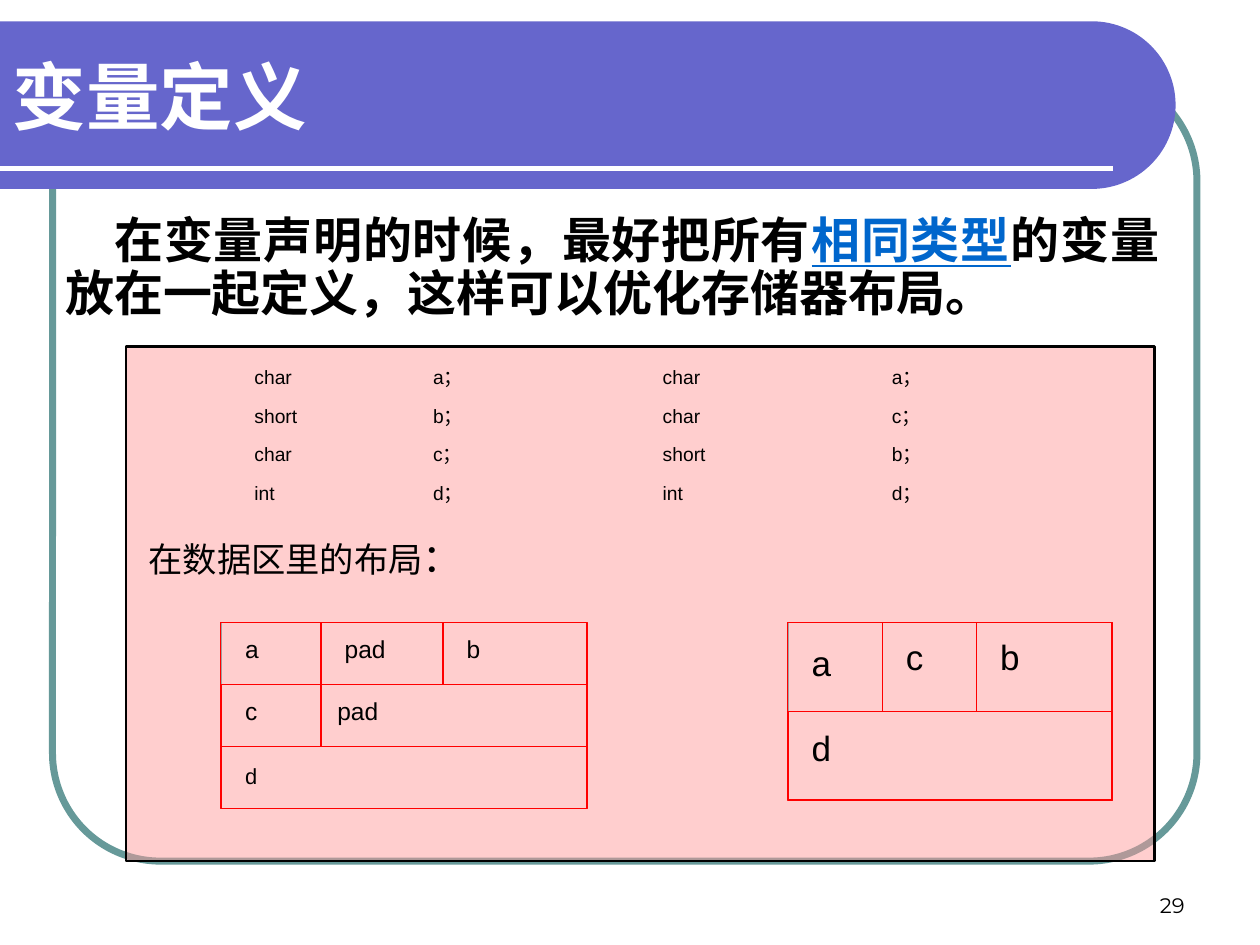
from math import cos, pi, sin

from lxml.etree import SubElement
from pptx import Presentation
from pptx.dml.color import RGBColor
from pptx.enum.shapes import MSO_CONNECTOR as Connector, MSO_SHAPE as Shape
from pptx.enum.text import MSO_ANCHOR as Anchor, MSO_AUTO_SIZE as AutoSize, PP_ALIGN as Align
from pptx.oxml.ns import qn
from pptx.util import Cm, Pt

SANS = "Noto Sans CJK SC"


def color(value):
    return RGBColor.from_string(value)


def add_run(para, text, size, font=SANS, fill="000000", bold=False):
    span = para.add_run()
    span.text = text
    span.font.size = Pt(size)
    span.font.bold = bold
    span.font.name = font
    span.font.color.rgb = color(fill)
    SubElement(span.font._element, qn("a:ea")).set("typeface", font)
    return span


deck = Presentation()
deck.slide_width, deck.slide_height = Cm(25.4), Cm(19.05)
page = deck.slides.add_slide(deck.slide_layouts[1])
shapes = page.shapes
title, body = page.placeholders

frame = shapes.add_shape(Shape.ROUNDED_RECTANGLE, Cm(1.06), Cm(1.48), Cm(23.07), Cm(15.88))
frame.adjustments[0] = 0.137
frame.fill.background()
frame.line.color.rgb = color("669999")
frame.line.width = Pt(4)
frame.shadow.inherit = False

radius, center_x, center_y = 1.69, 22.01, 2.12
steps = 60
angles = [pi * (step / steps - 0.5) for step in range(steps + 1)]
arc = [(Cm(center_x + radius * cos(angle)), Cm(center_y + radius * sin(angle))) for angle in angles]
builder = shapes.build_freeform(0, Cm(center_y - radius))
builder.add_line_segments(arc + [(0, Cm(center_y + radius))], close=True)
banner = builder.convert_to_shape()
banner.fill.solid()
banner.fill.fore_color.rgb = color("6666CC")
banner.line.fill.background()
banner.shadow.inherit = False

rule = shapes.add_connector(Connector.STRAIGHT, 0, Cm(3.39), Cm(22.44), Cm(3.39))
rule.line.color.rgb = color("FFFFFF")
rule.line.width = Pt(3)
SubElement(rule._element.spPr, qn("a:effectLst"))

for holder, left, top, width, height, anchor in [
    (title, 0, 0.85, 20.96, 2.12, Anchor.MIDDLE),
    (body, 1.06, 4.23, 22.56, 2.75, Anchor.TOP),
]:
    shapes._spTree.append(holder._element)
    holder.left, holder.top, holder.width, holder.height = Cm(left), Cm(top), Cm(width), Cm(height)
    holder.text_frame.auto_size = AutoSize.NONE
    holder.text_frame.vertical_anchor = anchor

para = title.text_frame.paragraphs[0]
para.alignment = Align.LEFT
add_run(para, "变量定义", 42, fill="FFFFFF", bold=True)

para = body.text_frame.paragraphs[0]
para.alignment = Align.JUSTIFY
para.line_spacing = 0.9
para.space_before = Pt(7)
properties = para._p.get_or_add_pPr()
properties.set("marL", "0")
properties.set("indent", str(Cm(0.99)))
SubElement(properties, qn("a:buNone"))
add_run(para, "在变量声明的时候，最好把所有", 28, bold=True)
add_run(para, "相同类型", 28, fill="0066CC", bold=True).font.underline = True
add_run(para, "的变量放在一起定义，这样可以优化存储器布局。", 28, bold=True)

panel = shapes.add_shape(Shape.RECTANGLE, Cm(2.54), Cm(6.99), Cm(20.74), Cm(10.37))
panel.fill.solid()
panel.fill.fore_color.rgb = color("FF9999")
panel_color = panel._element.spPr.find(qn("a:solidFill"))[0]
SubElement(panel_color, qn("a:alpha")).set("val", "48000")
panel.line.color.rgb = color("000000")
panel.line.width = Pt(1.5)
panel.shadow.inherit = False

caption = shapes.add_textbox(Cm(2.75), Cm(10.8), Cm(17.78), Cm(1.19))
caption.text_frame.word_wrap = True
para = caption.text_frame.paragraphs[0]
para.line_spacing = 0.8
para.space_before = Pt(8)
add_run(para, "在数据区里的布局", 19.6, "Noto Sans CJK JP")
add_run(para, "：", 22.4, "Noto Sans CJK JP")

declarations = [
    ("char", "a", "char", "a"),
    ("short", "b", "char", "c"),
    ("char", "c", "short", "b"),
    ("int", "d", "int", "d"),
]
columns = [(4.88, 3.6), (8.48, 4.63), (13.11, 4.62), (17.73, 3.17)]
for row, words in enumerate(declarations):
    for (left, width), word in zip(columns, words):
        box = shapes.add_textbox(Cm(left), Cm(7.24 + 0.78 * row), Cm(width), Cm(0.78))
        box.text_frame.word_wrap = True
        para = box.text_frame.paragraphs[0]
        para.alignment = Align.JUSTIFY
        add_run(para, word, 11, "Arial")
        if len(word) == 1:
            add_run(para, "；", 11)

memory_maps = [
    (4.46, 1.25, 7.39, [
        [("a", 2.01, 14, 0.48, 0.23), ("pad", 2.46, 14, 0.48, 0.23), ("b", 2.9, 14, 0.48, 0.23)],
        [("c", 2.01, 14, 0.48, 0.24), ("pad", 5.36, 14, 0.33, 0.24)],
        [("d", 7.37, 12.5, 0.48, 0.32)],
    ]),
    (15.89, 1.79, 6.55, [
        [("a", 1.9, 20, 0.47, 0.38), ("c", 1.9, 20, 0.47, 0.27), ("b", 2.73, 20, 0.47, 0.27)],
        [("d", 6.53, 20, 0.47, 0.31)],
    ]),
]
map_top = 12.55
for map_left, row_height, map_width, rows in memory_maps:
    for row, cells in enumerate(rows):
        left = map_left
        for label, width, size, indent, drop in cells:
            cell = shapes.add_shape(Shape.RECTANGLE, Cm(left), Cm(map_top + row * row_height),
                                    Cm(width), Cm(row_height))
            cell.fill.background()
            cell.line.color.rgb = color("A0A0A0" if label == "a" else "FF0000")
            cell.line.width = Pt(0)
            cell.shadow.inherit = False
            text = cell.text_frame
            text.margin_left, text.margin_top = Cm(indent), Cm(drop)
            text.vertical_anchor = Anchor.TOP
            text.paragraphs[0].alignment = Align.LEFT
            add_run(text.paragraphs[0], label, size, "Arial")
            left += width
    outline = shapes.add_shape(Shape.RECTANGLE, Cm(map_left - 0.01), Cm(map_top),
                               Cm(map_width), Cm(row_height * len(rows)))
    outline.fill.background()
    outline.line.color.rgb = color("FF0000")
    outline.line.width = Pt(0.75)
    outline.shadow.inherit = False

number = shapes.add_textbox(Cm(18.2), Cm(17.36), Cm(5.93), Cm(1.27))
number.text_frame.word_wrap = True
number.text_frame.vertical_anchor = Anchor.BOTTOM
para = number.text_frame.paragraphs[0]
para.alignment = Align.RIGHT
add_run(para, "29", 12, "Montserrat")

deck.save("out.pptx")
